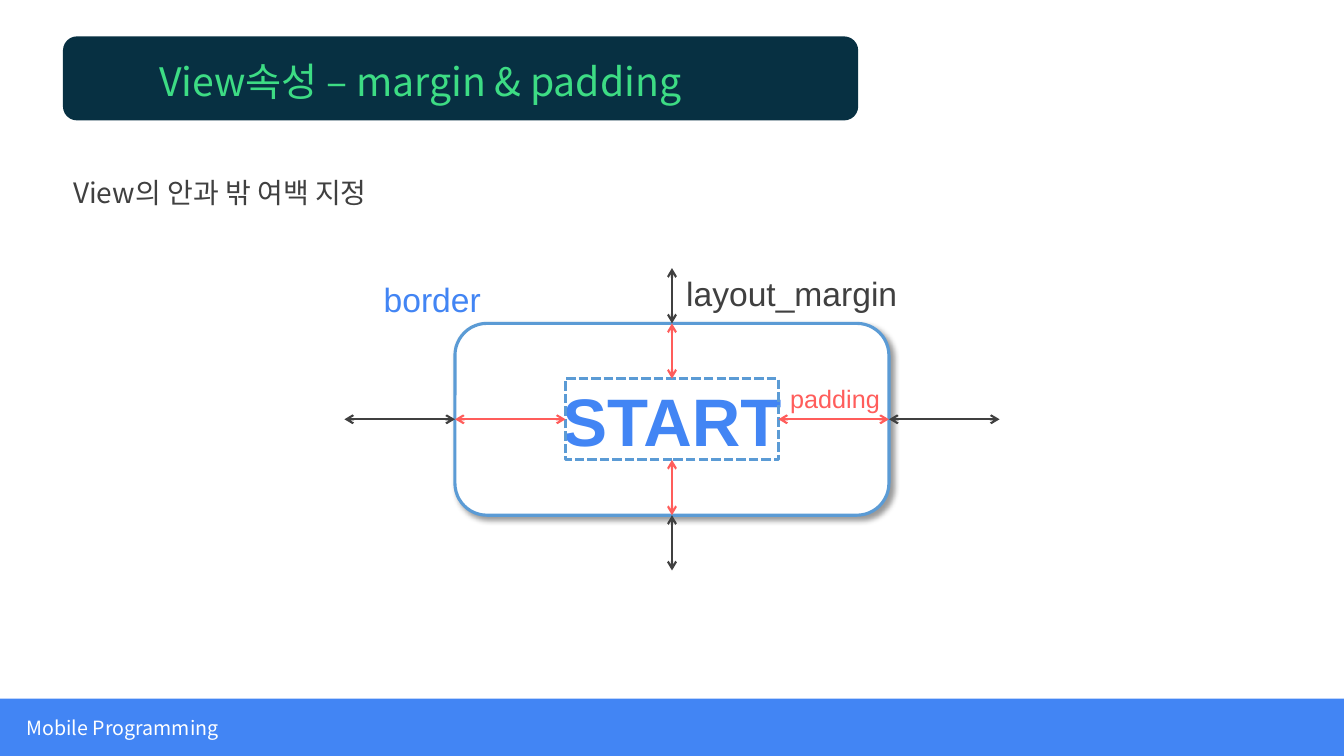
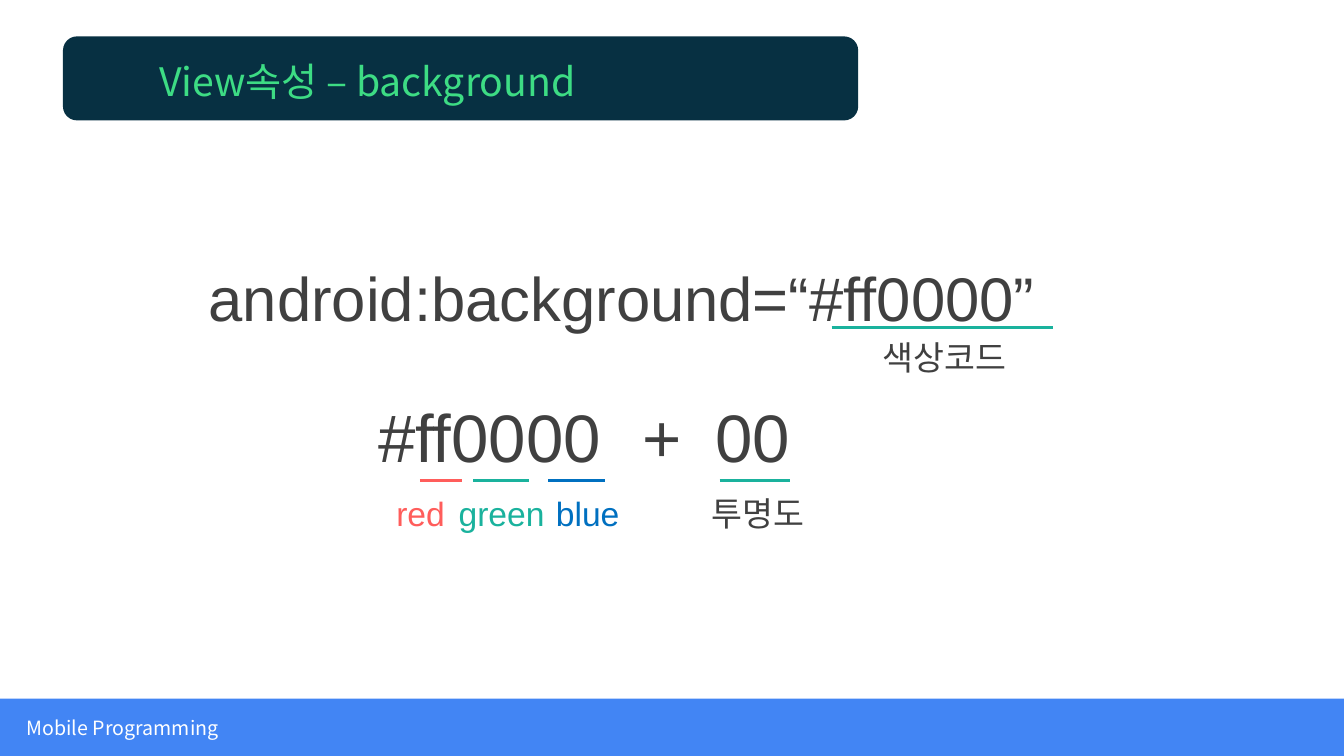
from lxml import etree
from pptx import Presentation
from pptx.dml.color import RGBColor
from pptx.enum import dml, shapes, text
from pptx.oxml import ns
from pptx.util import Pt

WHITE = RGBColor(0xFF, 0xFF, 0xFF)
NAVY = RGBColor(0x07, 0x30, 0x42)
LIME = RGBColor(0x3D, 0xDC, 0x84)
BLUE = RGBColor(0x42, 0x85, 0xF4)
STEEL = RGBColor(0x5B, 0x9B, 0xD5)
DARK = RGBColor(0x40, 0x40, 0x40)
CORAL = RGBColor(0xFF, 0x5D, 0x5B)
TEAL = RGBColor(0x1A, 0xB2, 0x9D)
OCEAN = RGBColor(0x00, 0x70, 0xC0)
SANS, KOREAN = "Arial", "Noto Sans CJK KR"
TITLE_AND_BODY, TITLE_ONLY = 1, 5
RECT, ROUND = shapes.MSO_SHAPE.RECTANGLE, shapes.MSO_SHAPE.ROUNDED_RECTANGLE
TOP, LEFT, BOTTOM, RIGHT = range(4)


def child(parent, tag, **attrs):
    return etree.SubElement(parent, ns.qn(tag), attrs)


class Deck:
    """Shared style of the deck and the slide being drawn."""

    def __init__(self):
        self.prs = Presentation()
        self.prs.slide_width, self.prs.slide_height = Pt(960), Pt(540)
        self.s = None

    def slide(self, title, layout):
        self.s = self.prs.slides.add_slide(self.prs.slide_layouts[layout])
        footer = self.shape(RECT, 0, 499, 960, 41, fill=BLUE)
        self.add_text(footer, "Mobile Programming", 14, WHITE, KOREAN)
        footer.text_frame.margin_left = Pt(19)
        band = self.shape(ROUND, 45, 26, 568, 60, fill=NAVY)
        for sp in (band, footer):
            self.s.shapes.element.insert(2, sp.element)
        self.placeholder(self.s.shapes.title, (106.5, 37.5, 462, 41), title, 28, LIME)

    def placeholder(self, sp, box, words, size, color):
        sp.left, sp.top, sp.width, sp.height = map(Pt, box)
        self.add_text(sp, words, size, color, KOREAN)

    def body(self, words, *box):
        sp = self.s.placeholders[1]
        self.placeholder(sp, box, words, 20, DARK)
        p = sp.text_frame.paragraphs[0]
        p.space_before = Pt(0)
        pPr = p._p.get_or_add_pPr()
        pPr.set("marL", "0")
        pPr.set("indent", "0")
        child(pPr, "a:buNone")

    def add_text(self, sp, words, size, color, font=SANS, bold=False,
                 align=text.PP_ALIGN.LEFT):
        tf = sp.text_frame
        tf.word_wrap = True
        tf.auto_size = text.MSO_AUTO_SIZE.NONE
        tf.vertical_anchor = text.MSO_ANCHOR.MIDDLE
        p = tf.paragraphs[0]
        p.alignment = align
        r = p.add_run()
        r.text = words
        r.font.name, r.font.size, r.font.bold = font, Pt(size), bold
        r.font.color.rgb = color
        child(r.font._element, "a:ea", typeface=KOREAN)

    def label(self, words, size, color, *box, **style):
        sp = self.s.shapes.add_textbox(*map(Pt, box))
        self.add_text(sp, words, size, color, **style)

    def shape(self, kind, *box, fill=None, line=None):
        sp = self.s.shapes.add_shape(kind, *map(Pt, box))
        sp.shadow.inherit = False
        if fill is None:
            sp.fill.background()
        else:
            sp.fill.solid()
            sp.fill.fore_color.rgb = fill
        if line is None:
            sp.line.fill.background()
        else:
            sp.line.color.rgb = line
            sp.line.width = Pt(2.25)
        return sp

    def drop_shadow(self, sp):
        effects = sp.element.spPr.find(ns.qn("a:effectLst"))
        shadow = child(effects, "a:outerShdw", blurRad=str(Pt(4)), dist=str(Pt(3)),
                       dir="2700000", algn="tl", rotWithShape="0")
        black = child(shadow, "a:srgbClr", val="000000")
        child(black, "a:alpha", val="40000")

    def line(self, x1, y1, x2, y2, color, width=2.25):
        cx = self.s.shapes.add_connector(
            shapes.MSO_CONNECTOR.STRAIGHT, *map(Pt, (x1, y1, x2, y2)))
        cx.line.color.rgb = color
        cx.line.width = Pt(width)
        child(cx.element.spPr, "a:effectLst")
        return cx

    def arrow(self, x1, y1, x2, y2, color):
        cx = self.line(x1, y1, x2, y2, color, 1.5)
        ln = cx.element.spPr.find(ns.qn("a:ln"))
        child(ln, "a:headEnd", type="arrow")
        child(ln, "a:tailEnd", type="arrow")
        return cx


def margin_slide(deck):
    deck.slide("View속성 – margin & padding", TITLE_AND_BODY)
    deck.body("View의 안과 밖 여백 지정", 45, 121, 248, 32)

    cx, cy, gap_x, gap_y = 480, 299.5, 79, 39.5
    half_w, half_h = 76, 29
    out_w, out_h = half_w + gap_x, half_h + gap_y
    border = deck.shape(ROUND, cx - out_w, cy - out_h, 2 * out_w, 2 * out_h,
                        fill=WHITE, line=STEEL)
    deck.drop_shadow(border)
    deck.add_text(border, "START", 48, BLUE, bold=True, align=text.PP_ALIGN.CENTER)
    content = deck.shape(RECT, cx - half_w, cy - half_h, 2 * half_w, 2 * half_h,
                         line=STEEL)
    content.line.dash_style = dml.MSO_LINE.SQUARE_DOT

    for side, dx, dy in ((TOP, 0, -1), (LEFT, -1, 0), (BOTTOM, 0, 1), (RIGHT, 1, 0)):
        x, y = cx + dx * half_w, cy + dy * half_h
        edge_x, edge_y = cx + dx * out_w, cy + dy * out_h
        padding = deck.arrow(x, y, edge_x, edge_y, CORAL)
        padding.begin_connect(content, side)
        padding.end_connect(border, side)
        margin = deck.arrow(edge_x, edge_y, edge_x + dx * gap_x,
                            edge_y + dy * gap_y, DARK)
        margin.begin_connect(border, side)

    center = text.PP_ALIGN.CENTER
    deck.label("layout_margin", 24, DARK, 481, 191.5, 169, 36, align=center)
    deck.label("padding", 18, CORAL, 555, 270, 83, 29, align=center)
    deck.label("border", 24, BLUE, 267, 196, 88, 36)


def background_slide(deck):
    deck.slide("View속성 – background", TITLE_ONLY)
    deck.label("android:background=“#ff0000”", 44, DARK, 142, 182, 636, 60.5)
    deck.line(594, 234, 752.5, 234, TEAL)
    deck.label("색상코드", 24, DARK, 623.5, 237, 112, 36)

    for words, x, w in (("#ff0000", 263, 185), ("+", 451.5, 48), ("00", 504, 69)):
        deck.label(words, 48, DARK, x, 278.5, w, 65.5)

    for words, color, rule, x1, x2, x, w in (
            ("red", CORAL, CORAL, 300, 330, 276, 51),
            ("green", TEAL, TEAL, 338, 378, 320.5, 78),
            ("blue", OCEAN, OCEAN, 391.5, 432, 390, 62),
            ("투명도", DARK, TEAL, 514, 564, 501, 87)):
        deck.line(x1, 343, x2, 343, rule)
        deck.label(words, 24, color, x, 348.5, w, 36)


def main():
    deck = Deck()
    margin_slide(deck)
    background_slide(deck)
    deck.prs.save("out.pptx")


if __name__ == "__main__":
    main()
